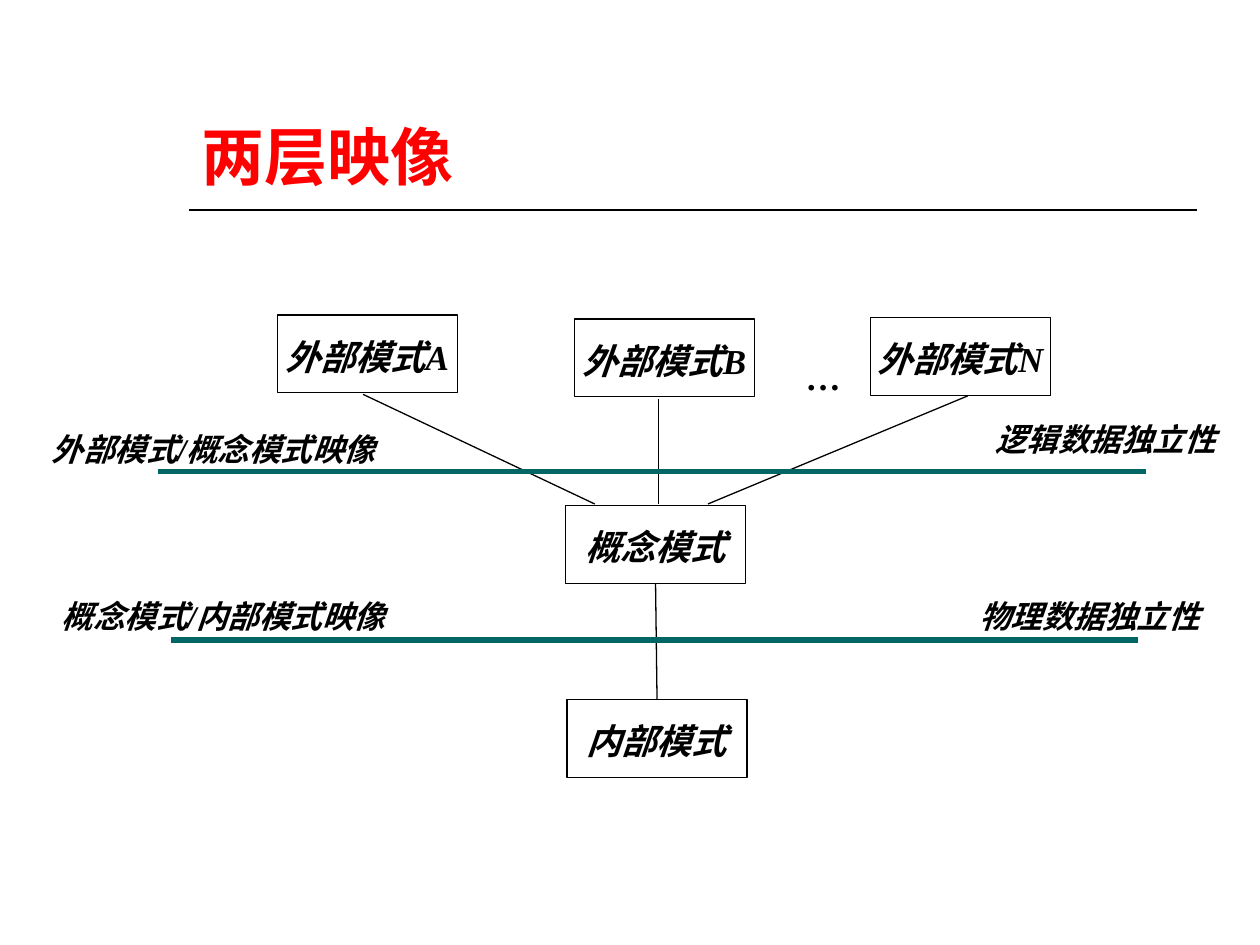
from dataclasses import dataclass

import pptx
import pptx.dml.color
import pptx.enum.shapes
import pptx.enum.text
import pptx.oxml
import pptx.oxml.ns
import pptx.util
from pptx.util import Cm

BLACK, WHITE, RED, TEAL = "000000", "FFFFFF", "FF0000", "006666"
LATIN, CJK = "Times New Roman", "Noto Sans CJK SC"
BOX_W, BOX_H = 3.63, 1.57
ALIGN = pptx.enum.text.PP_ALIGN
ANCHOR = pptx.enum.text.MSO_ANCHOR


@dataclass
class Schema:
    text: str
    x: float
    y: float


@dataclass
class Label:
    text: str
    x: float
    y: float
    w: float
    h: float
    size: int = 18


@dataclass
class Line:
    x1: float
    y1: float
    x2: float
    y2: float
    color: str = BLACK
    width: float = 0.75


def rgb(color: str) -> pptx.dml.color.RGBColor:
    return pptx.dml.color.RGBColor.from_string(color)


def set_text(sp, text: str, size: int, color: str = BLACK, latin: str = LATIN,
             italic: bool = True, align=ALIGN.CENTER) -> None:
    p = sp.text_frame.paragraphs[0]
    p.text = text
    p.alignment = align
    f = p.font
    f.name, f.size = latin, pptx.util.Pt(size)
    f.bold, f.italic = True, italic
    f.color.rgb = rgb(color)
    # East Asian typeface goes right after the Latin one
    qn = pptx.oxml.ns.qn
    ea = pptx.oxml.parse_xml(
        f'<a:ea {pptx.oxml.ns.nsdecls("a")} typeface="{CJK}"/>')
    p._p.pPr.find(qn("a:defRPr")).find(qn("a:latin")).addnext(ea)


def set_frame(sp, bottom: float) -> None:
    tf = sp.text_frame
    tf.word_wrap = True
    tf.vertical_anchor = ANCHOR.TOP
    tf.margin_left = tf.margin_right = 0
    tf.margin_top, tf.margin_bottom = Cm(0.41), Cm(bottom)


def add_schema(slide, s: Schema):
    sp = slide.shapes.add_shape(pptx.enum.shapes.MSO_SHAPE.RECTANGLE,
                                Cm(s.x), Cm(s.y), Cm(BOX_W), Cm(BOX_H))
    sp.shadow.inherit = False
    sp.fill.solid()
    sp.fill.fore_color.rgb = rgb(WHITE)
    sp.line.color.rgb = rgb(BLACK)
    sp.line.width = pptx.util.Pt(0.75)
    set_frame(sp, 0.13)
    set_text(sp, s.text, 20)
    return sp


def add_label(slide, lb: Label) -> None:
    sp = slide.shapes.add_textbox(Cm(lb.x), Cm(lb.y), Cm(lb.w), Cm(lb.h))
    set_frame(sp, 0)
    set_text(sp, lb.text, lb.size)


def add_line(slide, ln: Line):
    cx = slide.shapes.add_connector(
        pptx.enum.shapes.MSO_CONNECTOR.STRAIGHT,
        Cm(ln.x1), Cm(ln.y1), Cm(ln.x2), Cm(ln.y2))
    cx.line.color.rgb = rgb(ln.color)
    cx.line.width = pptx.util.Pt(ln.width)
    cx._element.spPr.append(pptx.oxml.parse_xml(
        f'<a:effectLst {pptx.oxml.ns.nsdecls("a")}/>'))
    return cx


EXTERNAL = [
    Schema("外部模式A", 5.59, 6.35),
    Schema("外部模式B", 11.58, 6.43),
    Schema("外部模式N", 17.55, 6.4),
]
CONCEPTUAL = Schema("概念模式", 11.4, 10.19)
INTERNAL = Schema("内部模式", 11.43, 14.1)

LINKS = [
    Line(7.32, 7.95, 11.99, 10.16),
    Line(13.28, 8.05, 13.28, 10.16),
    Line(19.51, 7.98, 14.27, 10.16),
]
MAPPING_BARS = [
    Line(3.18, 9.5, 23.11, 9.5, TEAL, 3),
    Line(3.45, 12.9, 22.94, 12.9, TEAL, 3),
]
LABELS = [
    Label("…", 16, 6.76, 1.24, 0.97, 20),
    Label("外部模式/概念模式映像", 0.71, 8.26, 7.19, 1.07),
    Label("逻辑数据独立性", 19.76, 8.05, 5.05, 1.27),
    Label("概念模式/内部模式映像", 0.91, 11.63, 7.19, 1.07),
    Label("物理数据独立性", 19.33, 11.63, 5.26, 1.07),
]


def main() -> None:
    prs = pptx.Presentation()
    prs.slide_width, prs.slide_height = Cm(25.4), Cm(19.05)
    slide = prs.slides.add_slide(prs.slide_layouts[5])

    # Title and the rule under it
    title = slide.shapes.title
    title.left, title.top = Cm(3.81), Cm(0.84)
    title.width, title.height = Cm(20.32), Cm(3.18)
    title.text_frame.vertical_anchor = ANCHOR.BOTTOM
    title.text_frame.auto_size = pptx.enum.text.MSO_AUTO_SIZE.NONE
    set_text(title, "两层映像", 36, RED, CJK, False, ALIGN.LEFT)
    add_line(slide, Line(3.81, 4.24, 24.13, 4.24, width=1))

    # Three schema levels
    for schema in EXTERNAL:
        add_schema(slide, schema)
    conceptual = add_schema(slide, CONCEPTUAL)
    internal = add_schema(slide, INTERNAL)

    # Links between the levels
    for link in LINKS:
        add_line(slide, link)
    mid = CONCEPTUAL.x + BOX_W / 2
    down = add_line(slide, Line(mid, CONCEPTUAL.y + BOX_H, mid, INTERNAL.y))
    down.begin_connect(conceptual, 2)
    down.end_connect(internal, 0)

    # Mapping bars and their labels
    for bar in MAPPING_BARS:
        add_line(slide, bar)
    for label in LABELS:
        add_label(slide, label)

    prs.save("out.pptx")


if __name__ == "__main__":
    main()
